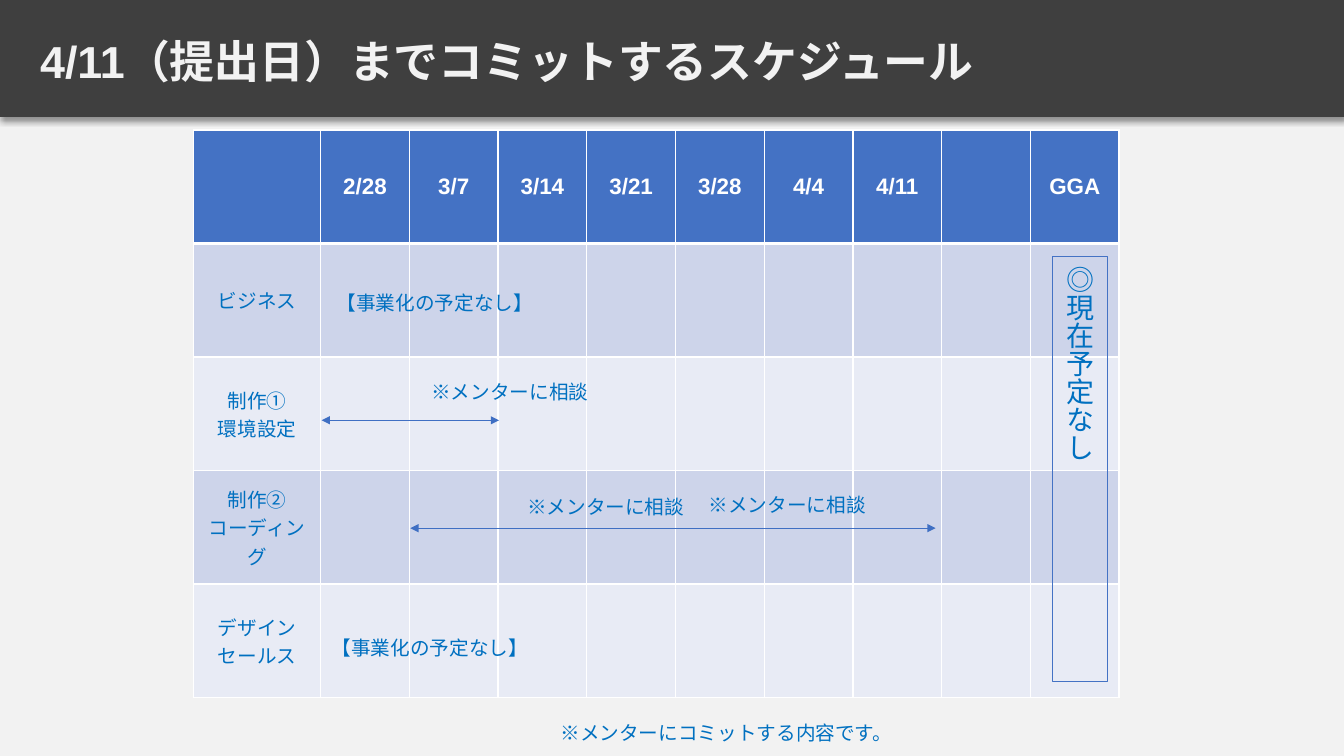
from lxml.etree import SubElement
from pptx import Presentation
from pptx.dml.color import RGBColor
from pptx.enum.shapes import MSO_CONNECTOR, MSO_SHAPE
from pptx.enum.text import MSO_ANCHOR, PP_ALIGN
from pptx.oxml import parse_xml
from pptx.oxml.ns import qn
from pptx.util import Inches, Pt

DARK = RGBColor(0x3F, 0x3F, 0x3F)
PALE = RGBColor(0xF2, 0xF2, 0xF2)
WHITE = RGBColor(0xFF, 0xFF, 0xFF)
BLUE = RGBColor(0x44, 0x72, 0xC4)
ARROW_BLUE = RGBColor(0x3F, 0x6F, 0xC3)
TEXT_BLUE = RGBColor(0x00, 0x70, 0xC0)
BAND_DARK = RGBColor(0xCD, 0xD4, 0xEA)
BAND_LIGHT = RGBColor(0xE8, 0xEB, 0xF5)
JAPANESE_FONT = "Noto Sans CJK JP"
DRAWING_NS = "http://schemas.openxmlformats.org/drawingml/2006/main"


def add_span(para, text, size, color, bold=False, font="Arial"):
    span = para.add_run()
    span.text = text
    span.font.size = Pt(size)
    span.font.bold = bold
    span.font.name = font
    span.font.color.rgb = color
    SubElement(span.font._element, qn("a:ea"), typeface=JAPANESE_FONT)


def add_label(slide, left, top, width, height, text, size, color, bold=False):
    box = slide.shapes.add_textbox(Inches(left), Inches(top), Inches(width), Inches(height))
    box.text_frame.word_wrap = True
    add_span(box.text_frame.paragraphs[0], text, size, color, bold)
    return box


deck = Presentation()
deck.slide_width = Inches(13.33)
deck.slide_height = Inches(7.5)
page = deck.slides.add_slide(deck.slide_layouts[6])
page.background.fill.solid()
page.background.fill.fore_color.rgb = PALE

# Title band
band = page.shapes.add_shape(MSO_SHAPE.RECTANGLE, 0, 0, Inches(13.33), Inches(1.15))
band.fill.solid()
band.fill.fore_color.rgb = DARK
band.line.color.rgb = DARK
band.line.width = Pt(1)
band._element.spPr.append(parse_xml(
    f'<a:effectLst xmlns:a="{DRAWING_NS}">'
    f'<a:outerShdw blurRad="{Pt(4)}" dist="{Pt(3)}" dir="5400000" algn="t" rotWithShape="0">'
    '<a:srgbClr val="000000"><a:alpha val="40000"/></a:srgbClr>'
    '</a:outerShdw></a:effectLst>'))

title = add_label(page, 0, 0.17, 13.33, 0.93,
                  "4/11（提出日）までコミットするスケジュール", 32, PALE, True)
title.text_frame.vertical_anchor = MSO_ANCHOR.MIDDLE
title_para = title.text_frame.paragraphs[0]
title_para.line_spacing = 0.9
title_para._p.get_or_add_pPr().set("marL", str(Inches(0.3)))

# Schedule table
HEADERS = ["", "2/28", "3/7", "3/14", "3/21", "3/28", "4/4", "4/11", "", "GGA"]
TASKS = [["ビジネス"], ["制作①", "環境設定"], ["制作②", "コーディング"], ["デザイン", "セールス"]]
rows = [[[header] for header in HEADERS]]
rows += [[task] + [[""]] * (len(HEADERS) - 1) for task in TASKS]

schedule = page.shapes.add_table(len(rows), len(HEADERS), Inches(1.92), Inches(1.29),
                                 Inches(9.18), Inches(5.63)).table
for index, column in enumerate(schedule.columns):
    column.width = Inches(0.88 if index else 1.26)
for row in schedule.rows:
    row.height = Inches(5.63 / len(rows))

for row_index, row in enumerate(rows):
    is_header = row_index == 0
    fill = BLUE if is_header else (BAND_DARK if row_index % 2 else BAND_LIGHT)
    for column_index, lines in enumerate(row):
        cell = schedule.cell(row_index, column_index)
        cell.vertical_anchor = MSO_ANCHOR.MIDDLE
        cell_properties = cell._tc.get_or_add_tcPr()
        for side in ("lnL", "lnR", "lnT", "lnB"):
            thick = (is_header and side == "lnB") or (row_index == 1 and side == "lnT")
            border = SubElement(cell_properties, qn(f"a:{side}"), w=str(Pt(3 if thick else 1)))
            border_fill = SubElement(border, qn("a:solidFill"))
            SubElement(border_fill, qn("a:srgbClr"), val=str(WHITE))
        cell.fill.solid()
        cell.fill.fore_color.rgb = fill
        for line_index, text in enumerate(lines):
            frame = cell.text_frame
            para = frame.add_paragraph() if line_index else frame.paragraphs[0]
            para.alignment = PP_ALIGN.CENTER
            if text:
                add_span(para, text, 16 if is_header else 14,
                         WHITE if is_header else TEXT_BLUE, is_header)

# Periods
for start, end, y in [(3.19, 4.95, 4.17), (4.07, 9.28, 5.24)]:
    period = page.shapes.add_connector(MSO_CONNECTOR.STRAIGHT, Inches(start), Inches(y),
                                       Inches(end), Inches(y))
    period.line.color.rgb = ARROW_BLUE
    period.line.width = Pt(0.75)
    for arrowhead in ("a:headEnd", "a:tailEnd"):
        SubElement(period.line._get_or_add_ln(), qn(arrowhead), type="triangle")
    SubElement(period._element.spPr, qn("a:effectLst"))

# Notes on the schedule
MENTOR = "※メンターに相談"
NO_BUSINESS = "【事業化の予定なし】"
for left, top, width, text in [
    (5.46, 7.1, 3.54, "※メンターにコミットする内容です。"),
    (4.18, 3.72, 1.89, MENTOR),
    (5.13, 4.86, 1.89, MENTOR),
    (6.93, 4.84, 1.89, MENTOR),
    (3.24, 2.84, 3.09, NO_BUSINESS),
    (3.19, 6.26, 3.09, NO_BUSINESS),
]:
    add_label(page, left, top, width, 0.34, text, 14, TEXT_BLUE)

no_plan = page.shapes.add_shape(MSO_SHAPE.RECTANGLE, Inches(10.44), Inches(2.54),
                                Inches(0.54), Inches(4.22))
no_plan.shadow.inherit = False
no_plan.fill.background()
no_plan.line.color.rgb = BLUE
no_plan.line.width = Pt(0.75)
no_plan.text_frame.vertical_anchor = MSO_ANCHOR.MIDDLE
no_plan.text_frame._txBody.bodyPr.set("vert", "eaVert")
no_plan_para = no_plan.text_frame.paragraphs[0]
no_plan_para.alignment = PP_ALIGN.JUSTIFY
add_span(no_plan_para, "◎現在予定なし", 20, TEXT_BLUE, font=JAPANESE_FONT)

deck.save("out.pptx")
